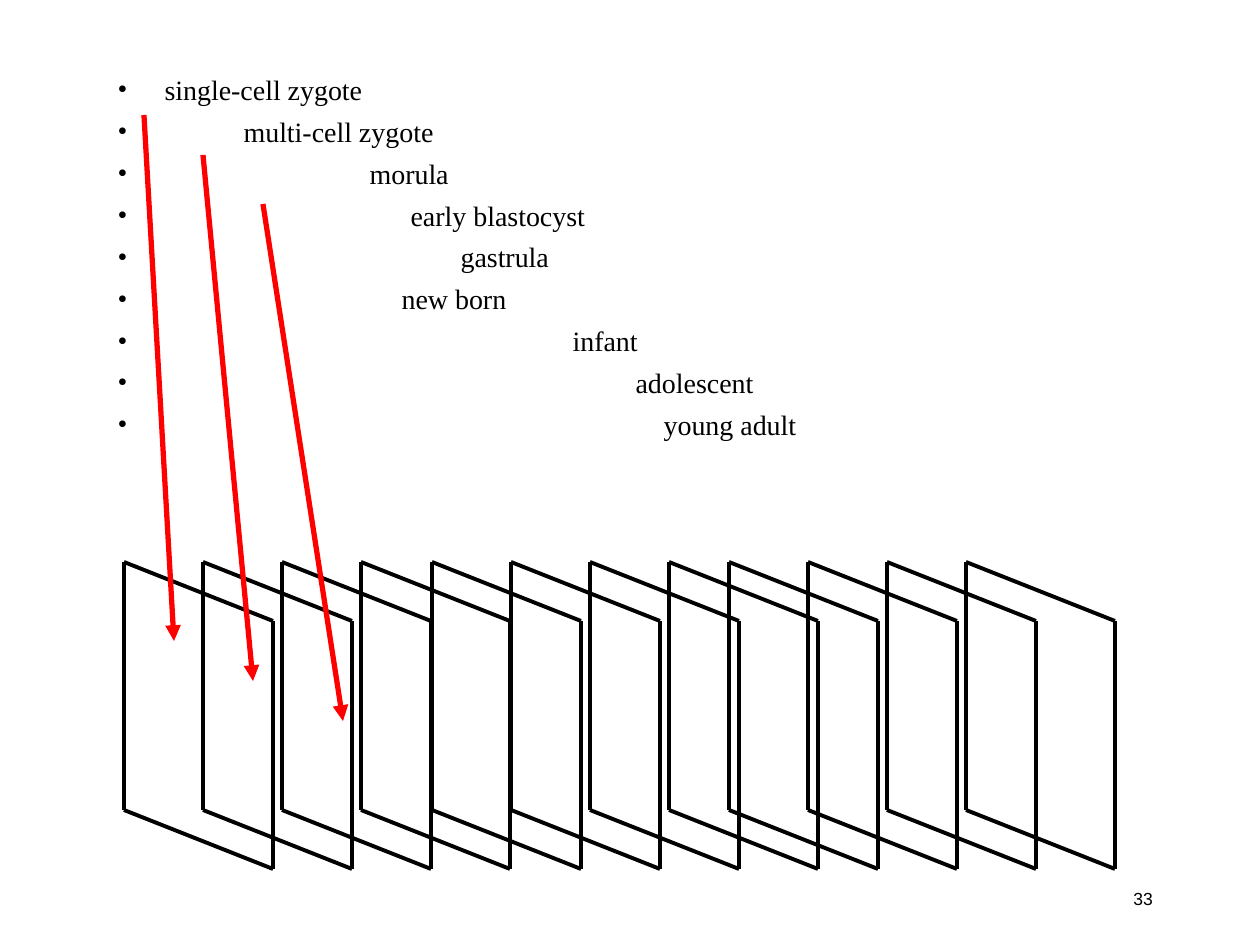
import pptx
import pptx.util
import pptx.dml.color
import pptx.enum.shapes
import pptx.enum.text
import pptx.oxml
import pptx.oxml.ns

# Content: each stage with the px offset of its text from the bullet
STAGES = [
    ("single-cell zygote", 47),
    ("multi-cell zygote", 126),
    ("morula", 252),
    ("early blastocyst", 293),
    ("gastrula", 343),
    ("new born", 284),
    ("infant", 455),
    ("adolescent", 518),
    ("young adult", 546),
]
PAGE_NUMBER = "33"
ARROWS = [  # start x, y, end x, y
    (144, 115, 174, 641),
    (203, 155, 253, 681),
    (263, 204, 343, 721),
]

# Layout in px
SLIDE = (1260, 945)
BODY = (105, 66, 1134, 782)
NUMBER_BOX = (1121, 882, 45, 34)
SERIES_STARTS, FRAMES_PER_SERIES, FRAME_PITCH = (124, 432, 729), 4, 79
FRAME_TOP, FRAME_WIDTH, FRAME_HEIGHT, FRAME_SLANT = 562, 149, 248, 59

THEME = {
    "ink": "000000", "arrow": "FF0000", "paper": "FFFFFF", "paper_alpha": 27000,
    "body_font": "Times New Roman", "body_size": 16, "space_before": 4.75,
    "number_font": "Arial", "number_size": 10,
    "frame_line": 2.25, "arrow_line": 3,
}


def px(length):
    return pptx.util.Emu(length * 914400 // 126)


def rgb(name):
    return pptx.dml.color.RGBColor.from_string(THEME[name])


def add_xml(parent, markup):
    head, rest = markup.split(">", 1) if not markup.endswith("/>") else (markup[:-2], None)
    declared = f"{head} {pptx.oxml.ns.nsdecls('a')}"
    parent.append(pptx.oxml.parse_xml(declared + ("/>" if rest is None else ">" + rest)))


def add_run(paragraph, text, font, size):
    run = paragraph.add_run()
    run.text = text
    run.font.name = font
    run.font.size = pptx.util.Pt(size)
    run.font.color.rgb = rgb("ink")


def add_line(shapes, ends, color, width, arrowhead=False):
    line = shapes.add_connector(pptx.enum.shapes.MSO_CONNECTOR.STRAIGHT, *map(px, ends))
    line.line.color.rgb = rgb(color)
    line.line.width = pptx.util.Pt(THEME[width])
    if arrowhead:
        add_xml(line.line._get_or_add_ln(), '<a:tailEnd type="triangle"/>')
    add_xml(line._element.spPr, "<a:effectLst/>")


def add_stages(slide):
    body = slide.placeholders[1]
    body.left, body.top, body.width, body.height = map(px, BODY)
    body.fill.solid()
    body.fill.fore_color.rgb = rgb("paper")
    paper = body._element.spPr.find(".//" + pptx.oxml.ns.qn("a:srgbClr"))
    add_xml(paper, f'<a:alpha val="{THEME["paper_alpha"]}"/>')
    frame = body.text_frame
    frame.auto_size = pptx.enum.text.MSO_AUTO_SIZE.NONE
    for index, (stage, offset) in enumerate(STAGES):
        paragraph = frame.add_paragraph() if index else frame.paragraphs[0]
        paragraph.space_before = pptx.util.Pt(THEME["space_before"] if index else 0)
        properties = paragraph._p.get_or_add_pPr()
        properties.set("marL", str(px(offset)))
        properties.set("indent", str(-px(offset)))
        add_xml(properties, f'<a:buClr><a:srgbClr val="{THEME["ink"]}"/></a:buClr>')
        add_xml(properties, f'<a:buFont typeface="{THEME["body_font"]}"/>')
        add_xml(properties, '<a:buChar char="•"/>')
        add_run(paragraph, stage, THEME["body_font"], THEME["body_size"])


def add_frame(slide, left):
    right, bottom = left + FRAME_WIDTH, FRAME_TOP + FRAME_HEIGHT
    low_top, low_bottom = FRAME_TOP + FRAME_SLANT, bottom + FRAME_SLANT
    group = slide.shapes.add_group_shape()
    for ends in [
        (left, FRAME_TOP, left, bottom),
        (left, FRAME_TOP, right, low_top),
        (left, bottom, right, low_bottom),
        (right, low_top, right, low_bottom),
    ]:
        add_line(group.shapes, ends, "ink", "frame_line")


def main():
    deck = pptx.Presentation()
    deck.slide_width, deck.slide_height = map(px, SLIDE)
    slide = deck.slides.add_slide(deck.slide_layouts[1])
    title = slide.shapes.title._element
    title.getparent().remove(title)

    # Page number
    number = slide.shapes.add_textbox(*map(px, NUMBER_BOX)).text_frame
    number.word_wrap = False
    add_run(number.paragraphs[0], PAGE_NUMBER, THEME["number_font"], THEME["number_size"])

    # Stages of development
    add_stages(slide)

    # Row of slanted frames, in three evenly pitched series
    for start in SERIES_STARTS:
        for step in range(FRAMES_PER_SERIES):
            add_frame(slide, start + step * FRAME_PITCH)

    # Arrows from the first stages to their frames
    for ends in ARROWS:
        add_line(slide.shapes, ends, "arrow", "arrow_line", arrowhead=True)

    deck.save("out.pptx")


if __name__ == "__main__":
    main()
